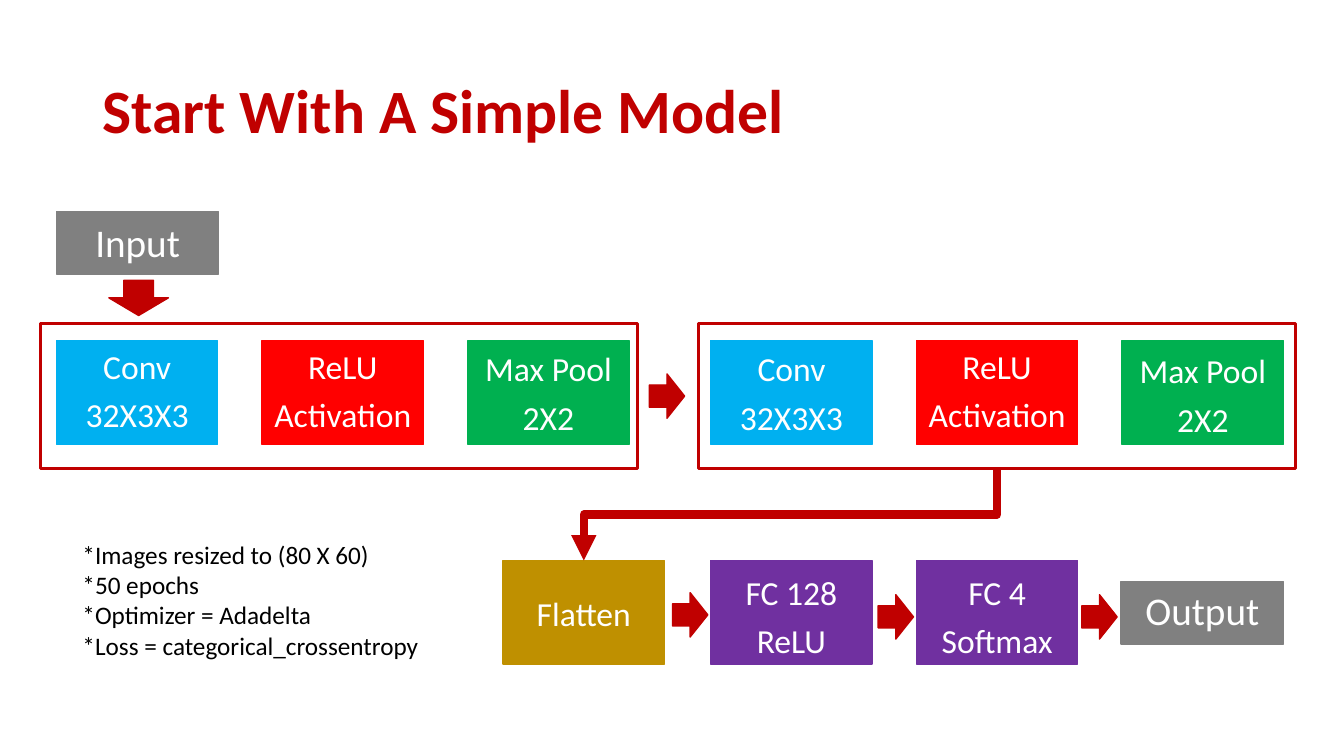
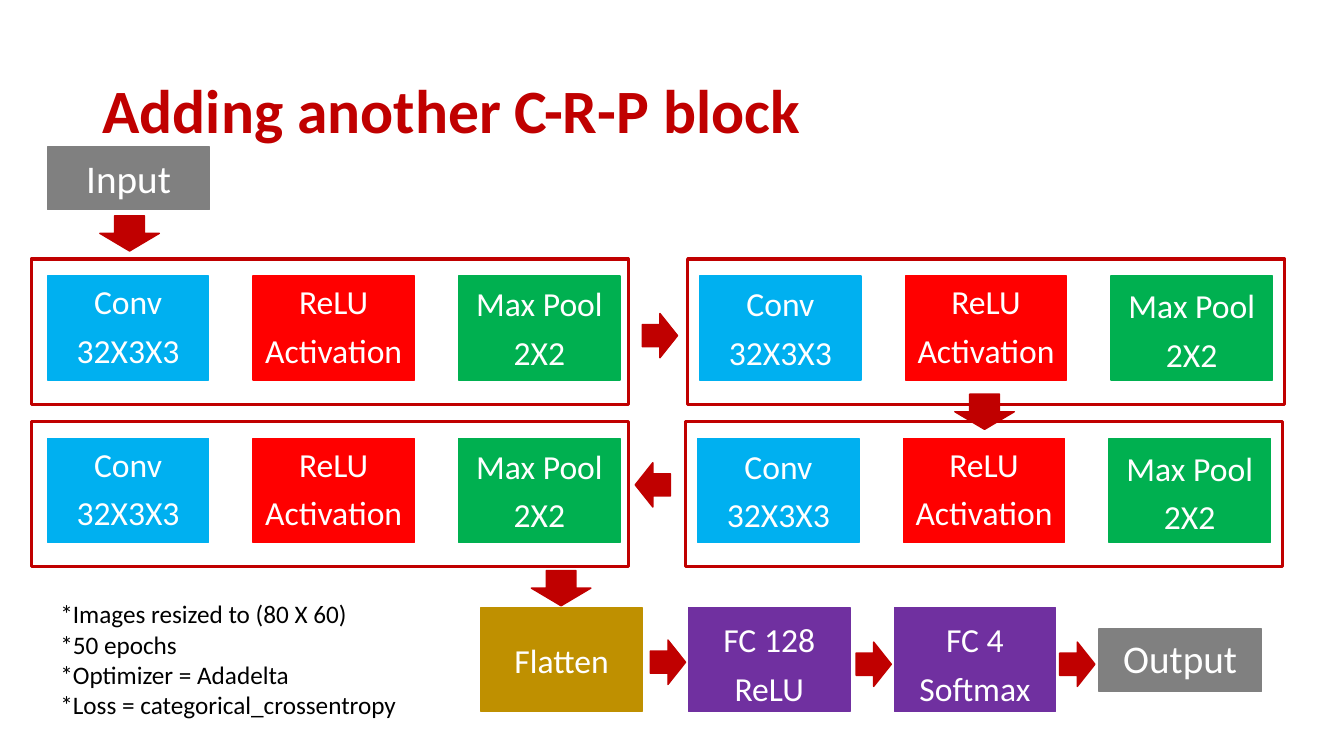
import pptx
import pptx.dml.color
import pptx.enum.shapes
import pptx.enum.text
import pptx.oxml.ns
import pptx.util
from lxml import etree

Inches, Pt = pptx.util.Inches, pptx.util.Pt
RGBColor = pptx.dml.color.RGBColor
MSO_SHAPE = pptx.enum.shapes.MSO_SHAPE
PP_ALIGN = pptx.enum.text.PP_ALIGN
MSO_ANCHOR = pptx.enum.text.MSO_ANCHOR
qn = pptx.oxml.ns.qn

# Shared style
FONT = "Calibri"
CRIMSON = RGBColor(0xC0, 0x00, 0x00)
WHITE = RGBColor(0xFF, 0xFF, 0xFF)
BLACK = RGBColor(0x00, 0x00, 0x00)
GRAY = RGBColor(0x80, 0x80, 0x80)
BLUE = RGBColor(0x00, 0xB0, 0xF0)
RED = RGBColor(0xFF, 0x00, 0x00)
GREEN = RGBColor(0x00, 0xB0, 0x50)
GOLD = RGBColor(0xBF, 0x90, 0x00)
PURPLE = RGBColor(0x70, 0x30, 0xA0)

# Shared measures, in inches
LAYER_W, LAYER_H = 1.6, 1.03
PORT_W, PORT_H = 1.61, 0.62
FRAME_W, FRAME_H = 5.92, 1.44
LAYER_PITCH = 2.04
ARROW_SIZES = {
    MSO_SHAPE.DOWN_ARROW: (0.59, 0.35),
    MSO_SHAPE.RIGHT_ARROW: (0.35, 0.44),
    MSO_SHAPE.LEFT_ARROW: (0.35, 0.44),
}

LAYERS = [
    (["Conv", "32X3X3"], BLUE),
    (["ReLU", "Activation"], RED),
    (["Max Pool", "2X2"], GREEN),
]
# Side padding of a block and the drop of each layer's text
LEFT_BLOCK = (0.16, (0, 0, 0.02))
RIGHT_BLOCK = (0.12, (0.02, 0, 0.04))

NOTES = [
    "*Images resized to (80 X 60)",
    "*50 epochs",
    "*Optimizer = Adadelta",
    "*Loss = categorical_crossentropy",
]


def write(tf, lines, size, color, align=PP_ALIGN.LEFT, after=0):
    tf.word_wrap = True
    for i, line in enumerate(lines):
        p = tf.paragraphs[0] if i == 0 else tf.add_paragraph()
        p.text = line
        p.alignment = align
        p.space_after = Pt(after)
        p.font.name = FONT
        p.font.size = Pt(size)
        p.font.color.rgb = color
    return tf


def add_text(s, x, y, w, h, lines, size, color):
    sp = s.shapes.add_textbox(Inches(x), Inches(y), Inches(w), Inches(h))
    return write(sp.text_frame, lines, size, color)


def add_shape(s, kind, x, y, w, h, fill, line, width=1):
    sp = s.shapes.add_shape(kind, Inches(x), Inches(y), Inches(w), Inches(h))
    sp.shadow.inherit = False
    if fill is None:
        sp.fill.background()
    else:
        sp.fill.solid()
        sp.fill.fore_color.rgb = fill
    sp.line.color.rgb = line
    sp.line.width = Pt(width)
    return sp


def add_box(s, x, y, w, h, lines, color, size, drop, after):
    sp = add_shape(s, MSO_SHAPE.RECTANGLE, x, y, w, h, color, color)
    tf = write(sp.text_frame, lines, size, WHITE, PP_ALIGN.CENTER, after)
    tf.vertical_anchor = MSO_ANCHOR.TOP
    tf.margin_left = tf.margin_right = Inches(0.05)
    tf.margin_top = Inches(0.05 + drop)
    tf.margin_bottom = 0
    return sp


def add_layer(s, x, y, lines, color, drop=0):
    return add_box(s, x, y, LAYER_W, LAYER_H, lines, color, 24, drop, 6)


def add_port(s, x, y, label, drop=0):
    return add_box(s, x, y, PORT_W, PORT_H, [label], GRAY, 28, drop, 0)


def add_arrow(s, kind, x, y):
    return add_shape(s, kind, x, y, *ARROW_SIZES[kind], CRIMSON, CRIMSON)


def add_block(s, x, y, side):
    """Framed Conv - ReLU - Max Pool group; returns the frame."""
    pad, drops = side
    frame = add_shape(s, MSO_SHAPE.RECTANGLE, x, y, FRAME_W, FRAME_H,
                      None, CRIMSON, 2.25)
    for i, ((lines, color), drop) in enumerate(zip(LAYERS, drops)):
        add_layer(s, x + pad + i * LAYER_PITCH, y + 0.17, lines, color, drop)
    return frame


def add_input(s, x, y):
    add_port(s, x, y, "Input", 0.02)
    add_arrow(s, MSO_SHAPE.DOWN_ARROW, x + 0.52, y + 0.68)


def add_classifier(s, x, y):
    """Row from Flatten to Output; returns the Flatten box."""
    flatten = add_layer(s, x, y, ["Flatten"], GOLD, 0.27)
    add_layer(s, x + 2.06, y, ["FC 128", "ReLU"], PURPLE, 0.06)
    add_layer(s, x + 4.1, y, ["FC 4", "Softmax"], PURPLE, 0.06)
    add_port(s, x + 6.13, y + 0.21, "Output")
    for dx, dy in ((1.68, 0.32), (3.72, 0.34), (5.74, 0.34)):
        add_arrow(s, MSO_SHAPE.RIGHT_ARROW, x + dx, y + dy)
    return flatten


def add_elbow(s, upper, lower):
    """Elbow arrow from the bottom of one box to the top of one at lower left."""
    x1, y1 = upper.left + upper.width // 2, upper.top + upper.height
    x2, y2 = lower.left + lower.width // 2, lower.top
    c = s.shapes.add_connector(pptx.enum.shapes.MSO_CONNECTOR.ELBOW,
                               x1, y1, x2, y2)
    c.begin_connect(upper, 2)
    c.end_connect(lower, 0)
    # A quarter turn makes the path leave and arrive vertically
    c.width, c.height = y2 - y1, x1 - x2
    c.left = (x1 + x2 - c.width) // 2
    c.top = (y1 + y2 - c.height) // 2
    sp_pr = c.element.spPr
    xfrm = sp_pr.find(qn("a:xfrm"))
    xfrm.attrib.pop("flipH", None)
    xfrm.set("rot", "5400000")
    c.line.color.rgb = CRIMSON
    c.line.width = Pt(6)
    etree.SubElement(sp_pr.find(qn("a:ln")), qn("a:tailEnd"), type="triangle")
    etree.SubElement(sp_pr, qn("a:effectLst"))


def add_slide(prs, title, notes_x, notes_y):
    s = prs.slides.add_slide(prs.slide_layouts[6])
    tf = add_text(s, 0.92, 0.4, 11.5, 1.45, [title], 44, CRIMSON)
    tf.vertical_anchor = MSO_ANCHOR.MIDDLE
    tf.paragraphs[0].font.bold = True
    tf.paragraphs[0].line_spacing = 0.9
    add_text(s, notes_x, notes_y, 3.84, 1.31, NOTES, 18, BLACK)
    return s


def build_simple_model(prs):
    s = add_slide(prs, "Start With A Simple Model", 0.72, 5.3)
    add_input(s, 0.56, 2.1)
    add_block(s, 0.4, 3.21, LEFT_BLOCK)
    add_arrow(s, MSO_SHAPE.RIGHT_ARROW, 6.44, 3.71)
    last_block = add_block(s, 6.93, 3.21, RIGHT_BLOCK)
    flatten = add_classifier(s, 4.99, 5.56)
    add_elbow(s, last_block, flatten)


def build_deeper_model(prs):
    s = add_slide(prs, "Adding another C-R-P block", 0.5, 5.89)
    add_input(s, 0.47, 1.46)
    # Blocks run clockwise from the top left
    add_block(s, 0.31, 2.57, LEFT_BLOCK)
    add_block(s, 6.82, 2.57, RIGHT_BLOCK)
    add_block(s, 6.8, 4.18, RIGHT_BLOCK)
    add_block(s, 0.31, 4.18, LEFT_BLOCK)
    add_arrow(s, MSO_SHAPE.RIGHT_ARROW, 6.37, 3.11)
    add_arrow(s, MSO_SHAPE.DOWN_ARROW, 9.47, 3.91)
    add_arrow(s, MSO_SHAPE.LEFT_ARROW, 6.3, 4.59)
    add_arrow(s, MSO_SHAPE.DOWN_ARROW, 5.27, 5.66)
    add_classifier(s, 4.77, 6.03)


def main():
    prs = pptx.Presentation()
    prs.slide_width, prs.slide_height = Inches(13.33), Inches(7.5)
    build_simple_model(prs)
    build_deeper_model(prs)
    prs.save("out.pptx")


if __name__ == "__main__":
    main()
